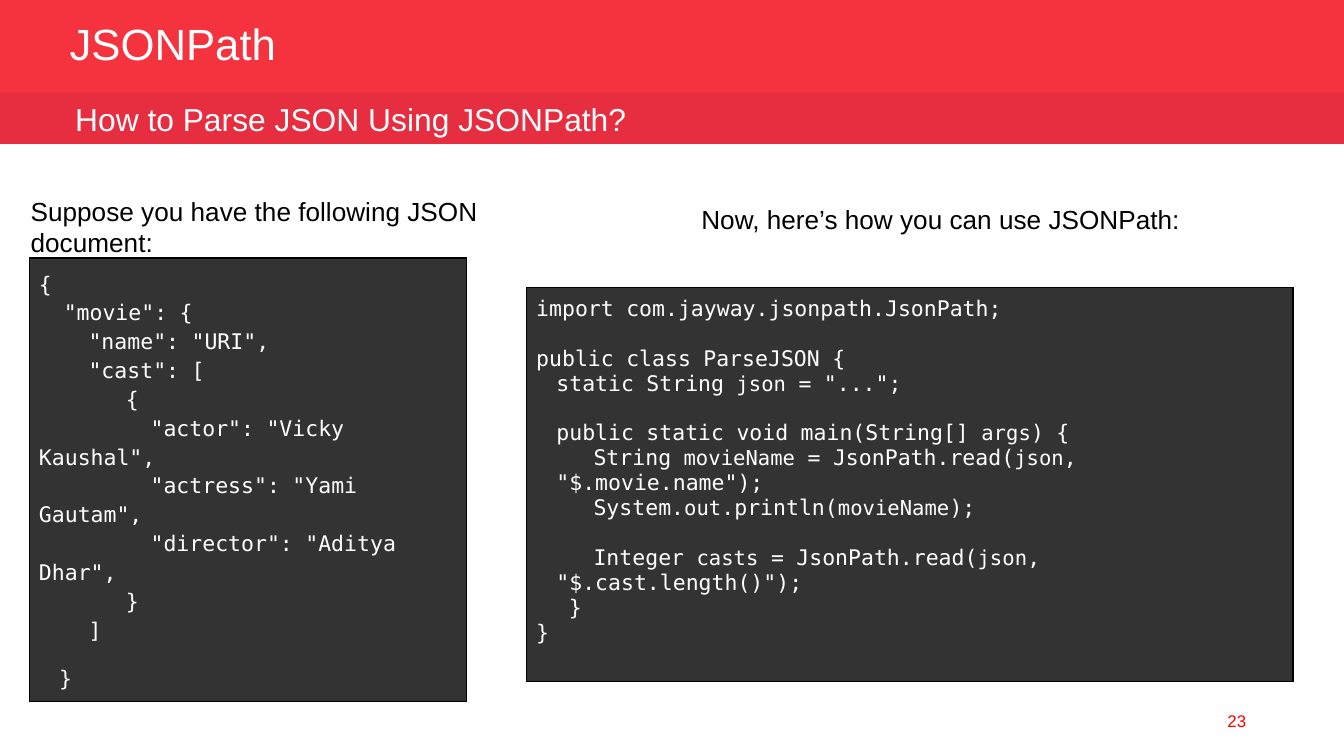
from itertools import groupby

from lxml import etree
from pptx import Presentation
from pptx import util as u
from pptx.dml.color import RGBColor
from pptx.enum import shapes, text
from pptx.oxml import ns

COLORS = {
    "title_bar": "F5333F",
    "subtitle_bar": "E72D40",
    "code_bg": "333333",
    "white": "FFFFFF",
    "black": "000000",
    "red": "FF0000",
}
SANS, MONO = "Arial", "DejaVu Sans Mono"
TOKEN_SIZE, SMALL_SIZE = 11.5, 11
VARIABLES = {"json", "args", "movieName", "casts", "out"}

JSON_LINES = [
    ("{", {}),
    ("  \"movie\": {", {}),
    ("    \"name\": \"URI\",", {}),
    ("    \"cast\": [", {}),
    ("       {", {}),
    ("         \"actor\": \"Vicky Kaushal\",", {}),
    ("         \"actress\": \"Yami Gautam\",", {}),
    ("         \"director\": \"Aditya Dhar\",", {}),
    ("       }", {}),
    ("    ]", {}),
    ("}", {"indent": 0.15, "spacing": 1.91}),
]

BODY = {"indent": 0.15}
BODY_GAP = {"indent": 0.15, "gap": 13}
JAVA_LINES = [
    ("import com.jayway.jsonpath.JsonPath;", {}),
    ("public class ParseJSON {", {"gap": 13}),
    ("static String json = \"...\";", BODY),
    ("public static void main(String[] args) {", BODY_GAP),
    ("   String movieName = JsonPath.read(json, \"$.movie.name\");", BODY),
    ("   System.out.println(movieName);", BODY),
    ("   Integer casts = JsonPath.read(json, \"$.cast.length()\");", BODY_GAP),
    (" }", BODY),
    ("}", {}),
]


def rgb(name):
    return RGBColor.from_string(COLORS[name])


def add_run(p, content, size=14, color="black", font=SANS):
    r = p.add_run()
    r.text = content
    r.font.size = u.Pt(size)
    r.font.name = font
    r.font.color.rgb = rgb(color)


def set_text(sp, content, anchor=text.MSO_ANCHOR.TOP, align=text.PP_ALIGN.LEFT,
             inset_left=0.1, inset_y=0.05, spacing=None, **run_format):
    tf = sp.text_frame
    tf.word_wrap = True
    tf.vertical_anchor = anchor
    tf.margin_left, tf.margin_right = u.Inches(inset_left), u.Inches(0.1)
    tf.margin_top = tf.margin_bottom = u.Inches(inset_y)
    p = tf.paragraphs[0]
    p.alignment = align
    if spacing:
        p.line_spacing = spacing
    add_run(p, content, **run_format)


def add_label(s, x, y, w, h, content, **text_format):
    sp = s.shapes.add_textbox(*map(u.Inches, (x, y, w, h)))
    set_text(sp, content, **text_format)


def add_bar(s, y, h, color):
    sp = s.shapes.add_shape(shapes.MSO_SHAPE.RECTANGLE,
                            *map(u.Inches, (0, y, 10, h)))
    sp.shadow.inherit = False
    sp.fill.solid()
    sp.fill.fore_color.rgb = rgb(color)
    sp.line.fill.background()
    return sp


def char_kind(c):
    return "space" if c == " " else "word" if c.isalnum() else "symbol"


def token_size(token):
    """Spaces and variable names are slightly smaller than other code."""
    small = token.isspace() or token in VARIABLES
    return SMALL_SIZE if small else TOKEN_SIZE


def add_code_line(p, line, indent=0, gap=0, spacing=1.0):
    p.line_spacing = spacing
    if gap:
        p.space_before = u.Pt(gap)
    if indent:
        pPr = p._p.get_or_add_pPr()
        pPr.set("marL", str(u.Inches(indent)))
        pPr.set("indent", "0")
    tokens = ["".join(chars) for _, chars in groupby(line, char_kind)]
    for size, group in groupby(tokens, token_size):
        add_run(p, "".join(group), size=size, color="white", font=MONO)


def add_borders(cell):
    tcPr = cell._tc.get_or_add_tcPr()
    for side in ("lnL", "lnR", "lnT", "lnB"):
        ln = etree.SubElement(tcPr, ns.qn(f"a:{side}"), w=str(u.Pt(0.75)))
        fill = etree.SubElement(ln, ns.qn("a:solidFill"))
        etree.SubElement(fill, ns.qn("a:srgbClr"), val=COLORS["black"])


def add_code_table(s, x, y, w, h, lines, anchor, margin_y=0.07, spacing=1.0):
    table = s.shapes.add_table(1, 1, *map(u.Inches, (x, y, w, h))).table
    table.first_row = table.horz_banding = False
    cell = table.cell(0, 0)
    add_borders(cell)
    cell.fill.solid()
    cell.fill.fore_color.rgb = rgb("code_bg")
    cell.vertical_anchor = anchor
    cell.margin_left = cell.margin_right = u.Inches(0.07)
    cell.margin_top = cell.margin_bottom = u.Inches(margin_y)
    tf = cell.text_frame
    for i, (line, line_format) in enumerate(lines):
        p = tf.add_paragraph() if i else tf.paragraphs[0]
        add_code_line(p, line, **{"spacing": spacing, **line_format})


def main():
    prs = Presentation()
    prs.slide_width = u.Inches(10)
    prs.slide_height = prs.slide_width * 9 // 16
    s = prs.slides.add_slide(prs.slide_layouts[6])
    middle, top = text.MSO_ANCHOR.MIDDLE, text.MSO_ANCHOR.TOP

    # Header bars, title and page number
    add_bar(s, 0, 0.7, "title_bar")
    add_label(s, 0.42, 0.14, 4.69, 0.44, "JSONPath", anchor=middle,
              spacing=0.8, size=23.4, color="white")
    add_label(s, 7.12, 5.21, 2.25, 0.3, "23", anchor=middle,
              align=text.PP_ALIGN.RIGHT, size=9, color="red")
    subtitle = add_bar(s, 0.69, 0.38, "subtitle_bar")
    set_text(subtitle, "How to Parse JSON Using JSONPath?", anchor=middle,
             inset_left=0.56, size=17, color="white")

    # JSON document
    add_label(s, 0.13, 1.35, 3.87, 0.51,
              "Suppose you have the following JSON document:", inset_y=0.1)
    add_code_table(s, 0.22, 1.92, 3.25, 3.3, JSON_LINES, middle,
                   margin_y=0.03, spacing=1.15)

    # Java program
    add_code_table(s, 3.92, 2.14, 5.7, 2.93, JAVA_LINES, top)
    add_label(s, 5.12, 1.41, 3.78, 0.44,
              "Now, here’s how you can use JSONPath:", inset_y=0.1)

    prs.save("out.pptx")


if __name__ == "__main__":
    main()
